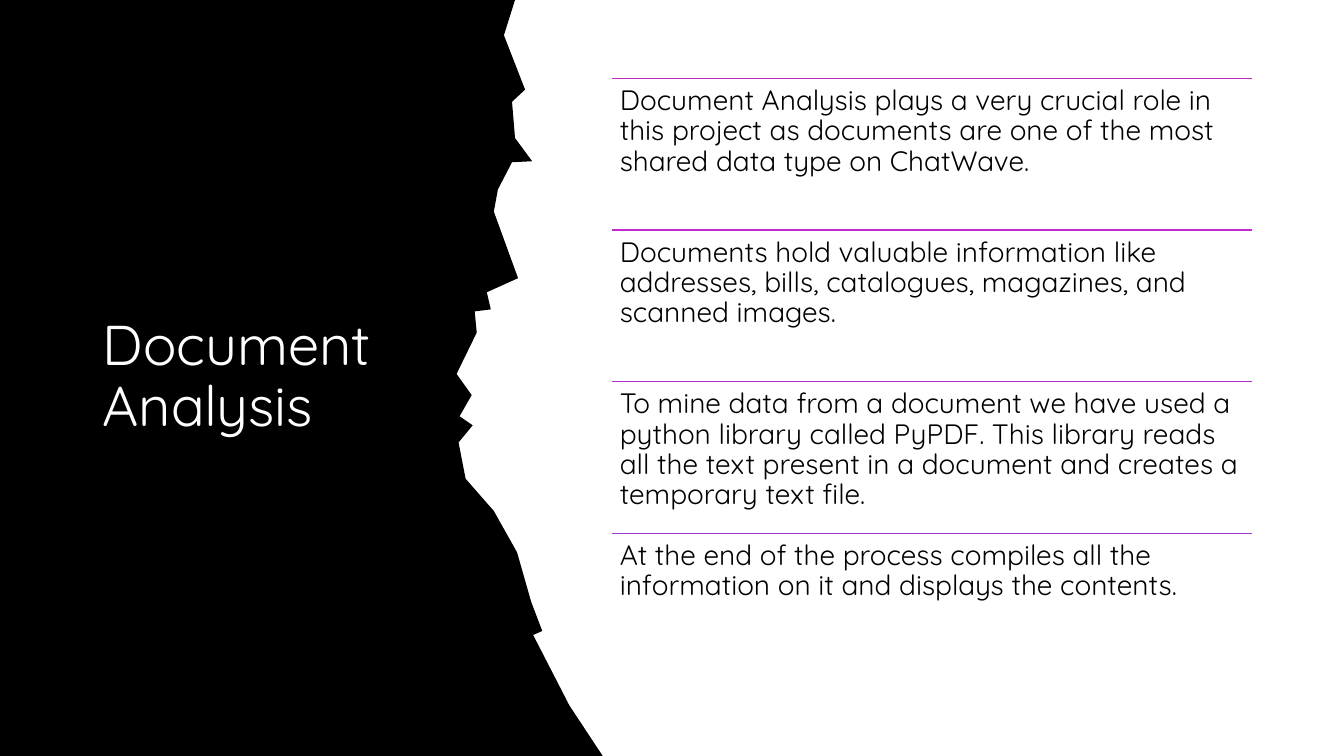
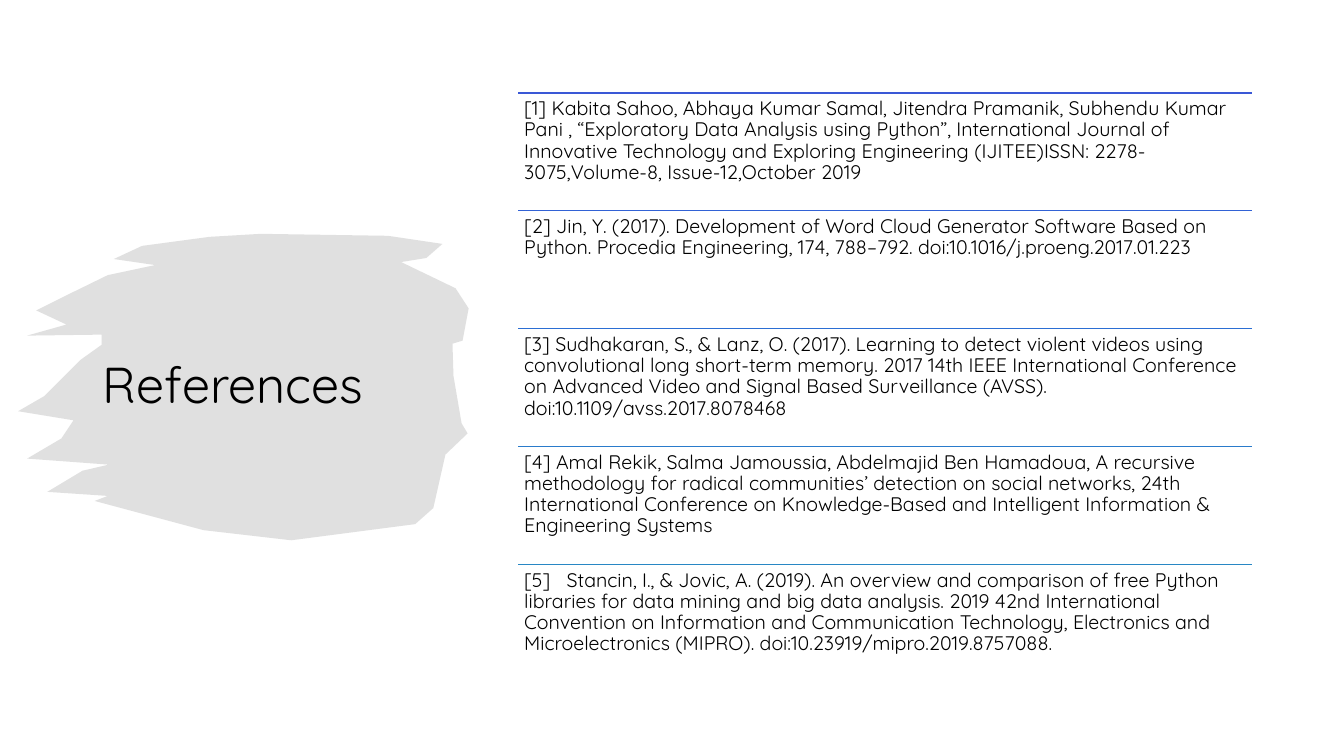
"""Build two slides that pair a painted title panel with a ruled list."""
from lxml import etree
from pptx import Presentation
from pptx import util as u
from pptx.dml import color
from pptx.enum import shapes, text
from pptx.oxml import ns

BLACK, WHITE, GREY = "000000", "FFFFFF", "D9D9D9"

TORN_EDGE = [
    (0, 0), (511, 0), (500, 35), (521, 89), (508, 101), (511, 137), (528, 160),
    (508, 161), (494, 188), (490, 210), (514, 276), (483, 290), (487, 307),
    (471, 309), (473, 330), (453, 371), (468, 392), (456, 413), (469, 422),
    (455, 439), (462, 475), (490, 507), (513, 548), (527, 597), (538, 626),
    (529, 630), (565, 700), (598, 750), (0, 750),
]

BRUSH_STROKE = [
    (259, 232), (385, 234), (439, 242), (423, 256), (398, 260), (452, 286),
    (465, 306), (459, 338), (449, 341), (450, 373), (458, 420), (464, 430),
    (442, 451), (430, 504), (412, 520), (289, 536), (202, 526), (94, 497),
    (107, 492), (47, 488), (82, 467), (108, 461), (27, 455), (61, 435),
    (73, 417), (18, 408), (44, 393), (80, 357), (101, 342), (101, 332),
    (27, 333), (66, 322), (36, 308), (66, 293), (107, 273), (154, 263),
    (113, 257), (141, 244), (208, 235),
]

ANALYSIS = [
    ("C428BC", "Document Analysis plays a very crucial role in this project as documents "
               "are one of the most shared data type on ChatWave."),
    ("C02ACE", "Documents hold valuable information like addresses, bills, catalogues, "
               "magazines, and scanned images."),
    ("B030D4", "To mine data from a document we have used a python library called PyPDF. "
               "This library reads all the text present in a document and creates a "
               "temporary text file."),
    ("9E3AD6", "At the end of the process compiles all the information on it and displays "
               "the contents."),
]

REFERENCES = [
    ("3A58D6", "[1] Kabita Sahoo, Abhaya Kumar Samal, Jitendra Pramanik, Subhendu Kumar "
               "Pani , “Exploratory Data Analysis using Python”, International Journal of "
               "Innovative Technology and Exploring Engineering (IJITEE)ISSN: "
               "2278-3075,Volume-8, Issue-12,October 2019"),
    ("3262D5", "[2] Jin, Y. (2017). Development of Word Cloud Generator Software Based on "
               "Python. Procedia Engineering, 174, 788–792. "
               "doi:10.1016/j.proeng.2017.01.223"),
    ("2B6ED3", "[3] Sudhakaran, S., & Lanz, O. (2017). Learning to detect violent videos "
               "using convolutional long short-term memory. 2017 14th IEEE International "
               "Conference on Advanced Video and Signal Based Surveillance (AVSS). "
               "doi:10.1109/avss.2017.8078468"),
    ("2A7BCB", "[4] Amal Rekik, Salma Jamoussia, Abdelmajid Ben Hamadoua, A recursive "
               "methodology for radical communities’ detection on social networks, 24th "
               "International Conference on Knowledge-Based and Intelligent Information & "
               "Engineering Systems"),
    ("2887C4", "[5]\tStancin, I., & Jovic, A. (2019). An overview and comparison of free "
               "Python libraries for data mining and big data analysis. 2019 42nd "
               "International Convention on Information and Communication Technology, "
               "Electronics and Microelectronics (MIPRO). "
               "doi:10.23919/mipro.2019.8757088."),
]


def paint(target, value):
    """Give a fill or a line's fill one solid colour."""
    target.solid()
    target.fore_color.rgb = color.RGBColor.from_string(value)


def write(frame, words, size, ink=BLACK, font="Quicksand", inset=0.25,
          anchor=text.MSO_ANCHOR.TOP, tab=None):
    """Put one formatted paragraph into a text frame."""
    frame.word_wrap = True
    frame.auto_size = text.MSO_AUTO_SIZE.NONE
    frame.vertical_anchor = anchor
    frame.margin_left = frame.margin_right = u.Cm(inset)
    frame.margin_top = frame.margin_bottom = u.Cm(inset)
    para = frame.paragraphs[0]
    para.alignment = text.PP_ALIGN.LEFT
    para.line_spacing = 0.9
    span = para.add_run()
    span.text = words
    span.font.name = font
    span.font.size = u.Pt(size)
    paint(span.font.fill, ink)
    if tab:
        stops = etree.SubElement(para._p.get_or_add_pPr(), ns.qn("a:tabLst"))
        etree.SubElement(stops, ns.qn("a:tab"), pos=str(u.Cm(tab)), algn="l")


class Deck:
    """Hold the shared style and the current page."""

    def __init__(self):
        """Open an empty widescreen deck."""
        self.deck = Presentation()
        self.deck.slide_width, self.deck.slide_height = u.Cm(33.87), u.Cm(19.05)
        self.page = None

    def add_page(self):
        """Start a page that has only a title placeholder."""
        self.page = self.deck.slides.add_slide(self.deck.slide_layouts[5])

    def outline(self, points, fill, opacity=100):
        """Draw a filled outline from points in hundredths of 2.54 cm."""
        builder = self.page.shapes.build_freeform(*points[0], scale=u.Cm(2.54) / 100)
        builder.add_line_segments(points[1:], close=True)
        shape = builder.convert_to_shape()
        shape.shadow.inherit = False
        shape.line.fill.background()
        paint(shape.fill, fill)
        if opacity < 100:
            tone = next(shape.element.spPr.iter(ns.qn("a:srgbClr")))
            etree.SubElement(tone, ns.qn("a:alpha"), val=str(opacity * 1000))

    def title(self, words, top, height, size, ink):
        """Place the title on top of the panel."""
        title = self.page.shapes.title
        title.left, title.top = u.Cm(2.34), u.Cm(top)
        title.width, title.height = u.Cm(8.9), u.Cm(height)
        title.element.getparent().append(title.element)
        write(title.text_frame, words, size, ink, anchor=text.MSO_ANCHOR.MIDDLE)

    def rule(self, left, top, width, ink):
        """Draw a thin horizontal line."""
        line = self.page.shapes.add_connector(
            shapes.MSO_CONNECTOR.STRAIGHT,
            u.Cm(left), u.Cm(top), u.Cm(left + width), u.Cm(top))
        line.line.width = u.Pt(1)
        paint(line.line.fill, ink)
        etree.SubElement(line.element.spPr, ns.qn("a:effectLst"))

    def ruled_list(self, items, left, top, width, pitch, size, inset):
        """Stack items at an equal pitch, each under its own rule."""
        for index, (ink, words) in enumerate(items):
            y = top + index * pitch
            self.rule(left, y, width, ink)
            box = self.page.shapes.add_textbox(
                u.Cm(left), u.Cm(y), u.Cm(width), u.Cm(pitch))
            write(box.text_frame, words, size, inset=inset,
                  tab=1.07 if "\t" in words else None)

    def save(self):
        """Save the finished deck."""
        self.deck.save("out.pptx")


def main():
    """Build both pages."""
    deck = Deck()

    deck.add_page()
    deck.outline(TORN_EDGE, BLACK)
    deck.title("Document Analysis", top=1.98, height=15.09, size=40, ink=WHITE)
    deck.ruled_list(ANALYSIS, left=15.42, top=1.98, width=16.13, pitch=3.82,
                    size=20, inset=0.2)

    deck.add_page()
    deck.outline(BRUSH_STROKE, GREY, opacity=80)
    deck.title("References", top=4.17, height=11.18, size=36, ink=BLACK)
    deck.ruled_list(REFERENCES, left=13.06, top=2.34, width=18.48, pitch=2.97,
                    size=14, inset=0.15)

    deck.save()


if __name__ == "__main__":
    main()
